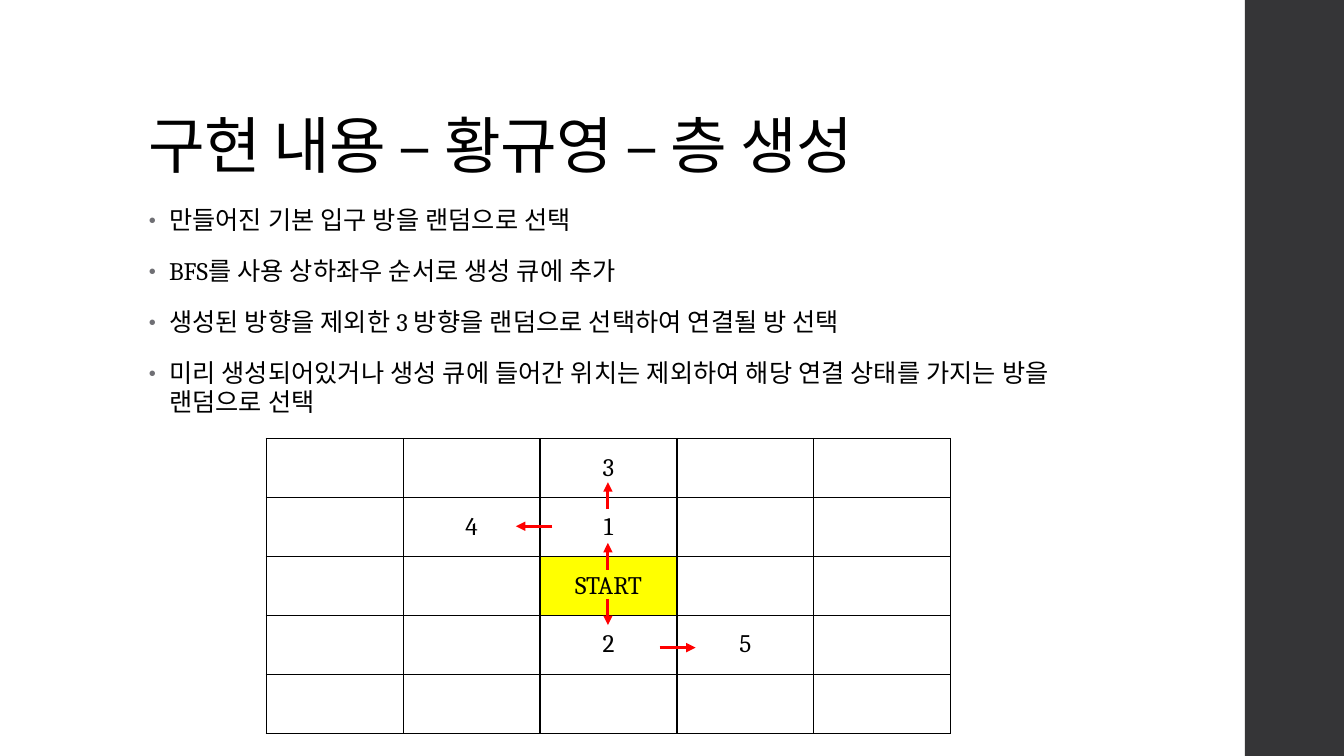
"""Build the floor generation slide with its bullet list, room grid and arrows."""
from dataclasses import dataclass

from lxml import etree
from pptx import Presentation
from pptx.dml.color import RGBColor
from pptx.enum import shapes, text
from pptx.oxml import ns
from pptx.util import Cm, Pt


@dataclass(frozen=True)
class Theme:
    """Colours, font and type sizes of the slide."""
    font: str = "Cambria"
    ink: RGBColor = RGBColor(0x00, 0x00, 0x00)
    paper: RGBColor = RGBColor(0xFF, 0xFF, 0xFF)
    sidebar: RGBColor = RGBColor(0x35, 0x35, 0x37)
    bullet: RGBColor = RGBColor(0x6F, 0x6F, 0x74)
    start: RGBColor = RGBColor(0xFF, 0xFF, 0x00)
    arrow: RGBColor = RGBColor(0xFF, 0x00, 0x00)
    title_size: int = 44
    body_size: int = 18
    border_width: int = 1
    arrow_width: float = 2.25


THEME = Theme()
TITLE = "구현 내용 – 황규영 – 층 생성"
BULLETS = [
    "만들어진 기본 입구 방을 랜덤으로 선택",
    "BFS를 사용 상하좌우 순서로 생성 큐에 추가",
    "생성된 방향을 제외한 3 방향을 랜덤으로 선택하여 연결될 방 선택",
    "미리 생성되어있거나 생성 큐에 들어간 위치는 제외하여 해당 연결 상태를 가지는 방을 랜덤으로 선택",
]
ROOMS = [
    ["", "", "3", "", ""],
    ["", "4", "1", "", ""],
    ["", "", "START", "", ""],
    ["", "", "2", "5", ""],
    ["", "", "", "", ""],
]
GRID_LEFT, GRID_TOP = 6.71, 11.05
ROOM_WIDTH, ROOM_HEIGHT = 3.45, 1.485
ARROWS = [
    ((15.32, 12.83), (15.32, 12.15)),
    ((16.62, 16.32), (17.53, 16.32)),
    ((13.92, 13.26), (13, 13.26)),
    ((15.32, 14.36), (15.32, 13.68)),
    ((15.32, 15.09), (15.32, 15.75)),
]


def add_element(parent, tag, **attributes):
    """Append a DrawingML element and return it."""
    return etree.SubElement(parent, ns.qn(tag), attributes)


def add_run(paragraph, words, size, spacing=0):
    """Add one run in the theme font, with letter spacing in points."""
    run = paragraph.add_run()
    run.text = words
    run.font.name = THEME.font
    run.font.size = Pt(size)
    run.font.color.rgb = THEME.ink
    if spacing:
        run.font._element.set("spc", str(round(spacing * 100)))


def add_text_frame(slide, left, top, width, height, anchor):
    """Add a wrapping text box and return its text frame."""
    box = slide.shapes.add_textbox(Cm(left), Cm(top), Cm(width), Cm(height))
    box.text_frame.word_wrap = True
    box.text_frame.vertical_anchor = anchor
    return box.text_frame


def add_sidebar(slide):
    """Add the dark band at the right edge."""
    shape = slide.shapes.add_shape(
        shapes.MSO_SHAPE.RECTANGLE, Cm(31.37), Cm(0), Cm(2.54), Cm(19.05))
    shape.shadow.inherit = False
    shape.fill.solid()
    shape.fill.fore_color.rgb = THEME.sidebar
    shape.line.fill.background()


def add_title(slide):
    """Add the slide title."""
    frame = add_text_frame(slide, 3.5, 1.02, 26.92, 3.68, text.MSO_ANCHOR.BOTTOM)
    paragraph = frame.paragraphs[0]
    paragraph.line_spacing = 0.9
    add_run(paragraph, TITLE, THEME.title_size, -0.5)


def format_bullet(paragraph):
    """Give a paragraph a hanging grey bullet and its spacing."""
    paragraph.line_spacing = 0.95
    paragraph.space_before = Pt(14)
    paragraph.space_after = Pt(2)
    properties = paragraph._p.get_or_add_pPr()
    indent = Cm(0.51)
    properties.set("marL", str(indent))
    properties.set("indent", str(-indent))
    colour = add_element(properties, "a:buClr")
    add_element(colour, "a:srgbClr", val=str(THEME.bullet))
    add_element(properties, "a:buSzPct", val="80000")
    add_element(properties, "a:buFont", typeface="Arial")
    add_element(properties, "a:buChar", char="•")


def add_bullets(slide):
    """Add the list of implementation steps."""
    frame = add_text_frame(slide, 3.5, 5.08, 23.88, 12.09, text.MSO_ANCHOR.TOP)
    for index, words in enumerate(BULLETS):
        paragraph = frame.add_paragraph() if index else frame.paragraphs[0]
        format_bullet(paragraph)
        add_run(paragraph, words, THEME.body_size, 0.1)


def add_borders(cell):
    """Draw all four borders of a cell."""
    properties = cell._tc.get_or_add_tcPr()
    for index, side in enumerate(("a:lnL", "a:lnR", "a:lnT", "a:lnB")):
        line = add_element(properties, side, w=str(Pt(THEME.border_width)))
        fill = add_element(line, "a:solidFill")
        add_element(fill, "a:srgbClr", val=str(THEME.ink))
        properties.insert(index, line)


def format_room(cell, label):
    """Fill, outline and label one room of the grid."""
    if label == "START":
        cell.fill.solid()
        cell.fill.fore_color.rgb = THEME.start
    else:
        cell.fill.background()
    add_borders(cell)
    cell.vertical_anchor = text.MSO_ANCHOR.MIDDLE
    paragraph = cell.text_frame.paragraphs[0]
    paragraph.alignment = text.PP_ALIGN.CENTER
    if label:
        add_run(paragraph, label, THEME.body_size)


def add_room_grid(slide):
    """Add the table of rooms."""
    rows, columns = len(ROOMS), len(ROOMS[0])
    table = slide.shapes.add_table(
        rows, columns, Cm(GRID_LEFT), Cm(GRID_TOP),
        Cm(ROOM_WIDTH * columns), Cm(ROOM_HEIGHT * rows)).table
    table.first_row = False
    table.horz_banding = False
    for row, labels in enumerate(ROOMS):
        for column, label in enumerate(labels):
            format_room(table.cell(row, column), label)


def add_arrow(slide, start, end):
    """Add a red arrow pointing from start to end."""
    connector = slide.shapes.add_connector(
        shapes.MSO_CONNECTOR.STRAIGHT, *map(Cm, start + end))
    connector.line.color.rgb = THEME.arrow
    connector.line.width = Pt(THEME.arrow_width)
    add_element(connector.line._get_or_add_ln(), "a:tailEnd", type="triangle")
    add_element(connector._element.spPr, "a:effectLst")


def main():
    """Build and save the presentation."""
    presentation = Presentation()
    presentation.slide_width = Cm(33.87)
    presentation.slide_height = Cm(19.05)
    slide = presentation.slides.add_slide(presentation.slide_layouts[6])
    slide.background.fill.solid()
    slide.background.fill.fore_color.rgb = THEME.paper
    add_sidebar(slide)
    add_title(slide)
    add_bullets(slide)
    add_room_grid(slide)
    for start, end in ARROWS:
        add_arrow(slide, start, end)
    presentation.save("out.pptx")


if __name__ == "__main__":
    main()
